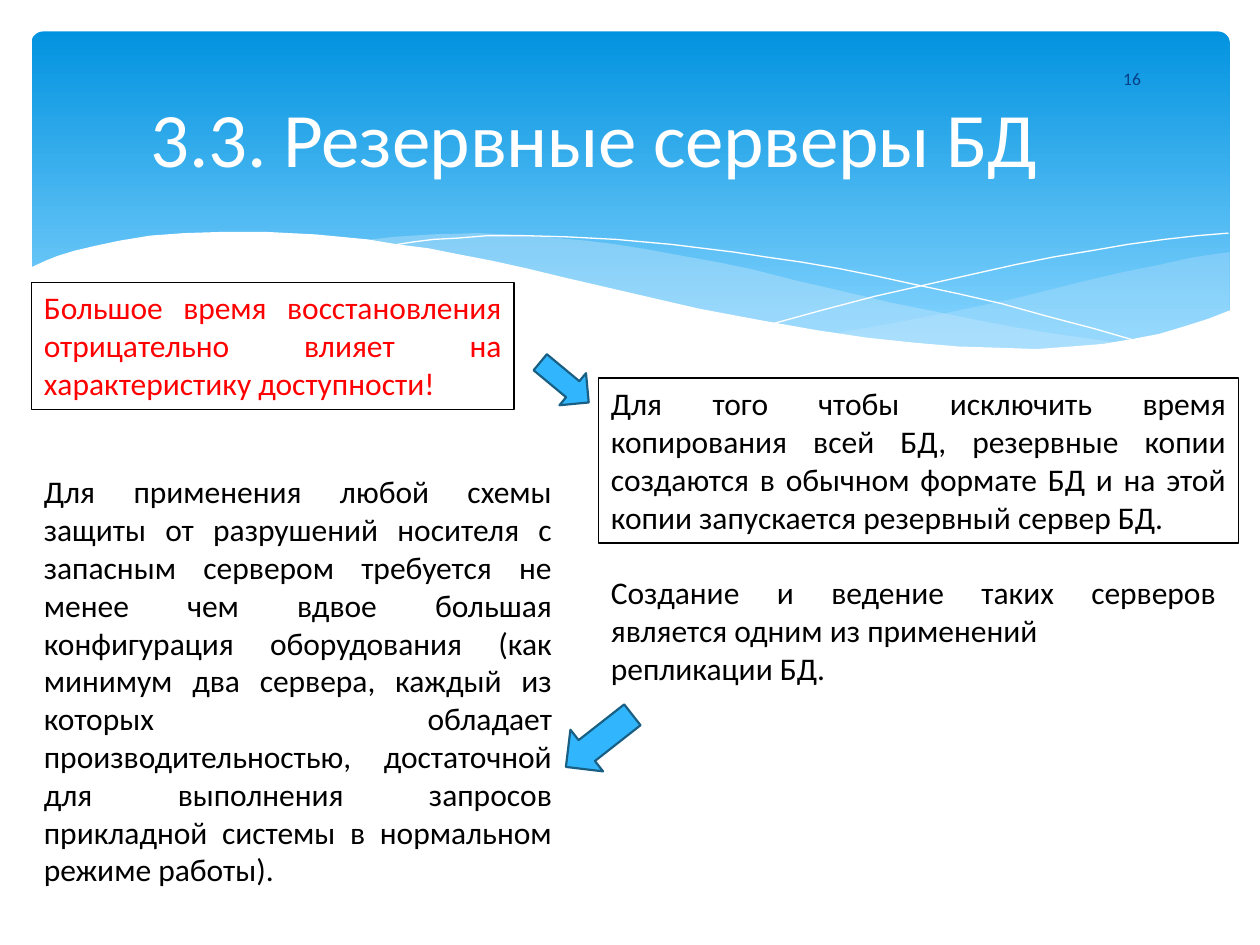
from pptx import Presentation, util as u
from pptx.dml.color import RGBColor
from pptx.enum import shapes, text
from pptx.oxml.ns import qn
from lxml import etree

BLACK, WHITE, RED = "000000", "FFFFFF", "FF0000"

title = "3.3. Резервные серверы БД"
page_number = "16"
notes = [
    ((0.25, 2.24, 3.83, 1.01), RED, True,
     ["Большое время восстановления отрицательно влияет на характеристику доступности!"]),
    ((4.75, 3, 5.08, 1.31), BLACK, True,
     ["Для того чтобы исключить время копирования всей БД, резервные копии создаются "
      "в обычном формате БД и на этой копии запускается резервный сервер БД."]),
    ((4.75, 4.5, 5, 1.01), BLACK, False,
     ["Создание и ведение таких серверов является одним из применений", "репликации БД."]),
    ((0.25, 3.7, 4.23, 3.43), BLACK, False,
     ["Для применения любой схемы защиты от разрушений носителя с запасным сервером "
      "требуется не менее чем вдвое большая конфигурация оборудования (как минимум два "
      "сервера, каждый из которых обладает производительностью, достаточной для "
      "выполнения запросов прикладной системы в нормальном режиме работы)."]),
]
arrows = [((4.23, 2.87, 0.5, 0.33), 39.6), ((4.42, 5.67, 0.67, 0.42), 141.9)]

right_wave = [
    (9.76, 2), (9.48, 2.04), (9.21, 2.1), (8.91, 2.16), (8.61, 2.23), (8.05, 2.37),
    (7.53, 2.48), (7.06, 2.57), (6.61, 2.65), (6.91, 2.69), (7.19, 2.72), (7.45, 2.75),
    (7.69, 2.77), (8.03, 2.78), (8.35, 2.77), (8.63, 2.75), (8.89, 2.72), (9.13, 2.67),
    (9.35, 2.62), (9.49, 2.57), (9.63, 2.52), (9.76, 2.47)]
middle_wave = [
    (8.93, 2.73), (8.66, 2.69), (8.37, 2.65), (8.07, 2.6), (7.75, 2.54), (7.41, 2.47),
    (7.06, 2.4), (6.68, 2.31), (6.29, 2.22), (5.98, 2.14), (5.69, 2.08), (5.41, 2.03),
    (5.14, 1.98), (4.89, 1.94), (4.65, 1.91), (4.42, 1.89), (4.2, 1.87), (3.8, 1.85),
    (3.44, 1.86), (3.13, 1.88), (2.86, 1.91), (3.23, 1.96), (3.62, 2.03), (4.04, 2.11),
    (4.49, 2.22), (4.91, 2.32), (5.3, 2.4), (5.66, 2.48), (6.01, 2.55), (6.34, 2.61),
    (6.65, 2.66), (6.95, 2.7), (7.22, 2.74), (7.48, 2.76), (7.73, 2.77), (7.96, 2.78),
    (8.28, 2.78), (8.57, 2.77), (8.76, 2.75)]
falling_line = [
    (3.09, 1.95), (3.28, 1.92), (3.44, 1.9), (3.63, 1.89), (3.87, 1.87), (4.16, 1.87),
    (4.5, 1.88), (4.89, 1.9), (5.33, 1.94), (5.82, 2), (6.08, 2.04), (6.36, 2.08),
    (6.65, 2.13), (6.95, 2.19), (7.27, 2.26), (7.6, 2.33), (7.95, 2.41), (8.31, 2.51),
    (8.69, 2.61), (9.07, 2.72)]
rising_line = [
    (6.13, 2.57), (6.53, 2.46), (6.95, 2.35), (7.48, 2.23), (8.06, 2.1), (8.36, 2.04),
    (8.66, 1.99), (8.95, 1.94), (9.24, 1.9), (9.51, 1.87), (9.75, 1.85)]
white_wave = [
    (9.77, 2.46), (9.59, 2.53), (9.4, 2.59), (9.2, 2.65), (8.99, 2.69), (8.75, 2.73),
    (8.5, 2.75), (8.23, 2.77), (7.93, 2.76), (7.61, 2.75), (7.26, 2.72), (6.88, 2.68),
    (6.48, 2.62), (6.03, 2.54), (5.55, 2.45), (5.03, 2.33), (4.47, 2.2), (4.18, 2.13),
    (3.91, 2.07), (3.65, 2.02), (3.4, 1.97), (3.16, 1.94), (2.92, 1.9), (2.71, 1.88),
    (2.5, 1.86), (2.3, 1.85), (2.11, 1.84), (1.77, 1.84), (1.46, 1.85), (1.19, 1.87),
    (0.95, 1.91), (0.76, 1.95), (0.59, 1.99), (0.46, 2.03), (0.36, 2.07), (0.23, 2.13),
    (0.23, 3.29), (9.77, 3.29)]
waves = [
    (right_wave, dict(fill="C6E7FC", alpha=29)),
    (middle_wave, dict(fill="C6E7FC", alpha=40)),
    (falling_line, dict(line=WHITE)),
    (rising_line, dict(line=WHITE)),
    (white_wave, dict(fill=WHITE)),
]

prs = Presentation()
prs.slide_width, prs.slide_height = u.Inches(10), u.Inches(7.5)
slide = prs.slides.add_slide(prs.slide_layouts[6])


def rgb(value):
    return RGBColor.from_string(value)


def inches(values):
    return [u.Inches(v) for v in values]


def paint(shape, fill=None, alpha=None, line=None, width=0):
    shape.shadow.inherit = False
    if fill:
        shape.fill.solid()
        shape.fill.fore_color.rgb = rgb(fill)
    else:
        shape.fill.background()
    if alpha:
        color = shape.fill._xPr.find(qn("a:solidFill"))[0]
        etree.SubElement(color, qn("a:alpha")).set("val", str(alpha * 1000))
    if line:
        shape.line.color.rgb = rgb(line)
        shape.line.width = u.Pt(width)
    else:
        shape.line.fill.background()


def add_text(box, paragraphs, size=18, color=BLACK, align="JUSTIFY", anchor="TOP",
             insets=(0.1, 0.05, 0.1, 0.05), border=None, before=0, leading=None, spacing=0):
    shape = slide.shapes.add_textbox(*inches(box))
    if border:
        shape.line.color.rgb = rgb(border)
        shape.line.width = u.Pt(0.75)
    frame = shape.text_frame
    frame.word_wrap = True
    frame.auto_size = text.MSO_AUTO_SIZE.SHAPE_TO_FIT_TEXT
    frame.vertical_anchor = text.MSO_ANCHOR[anchor]
    (frame.margin_left, frame.margin_top,
     frame.margin_right, frame.margin_bottom) = inches(insets)
    frame.text = "\n".join(paragraphs)
    for paragraph in frame.paragraphs:
        paragraph.alignment = text.PP_ALIGN[align]
        paragraph.space_before = u.Pt(before)
        if leading:
            paragraph.line_spacing = u.Pt(leading)
        for run in paragraph.runs:
            run.font.name, run.font.size = "Calibri", u.Pt(size)
            run.font.color.rgb = rgb(color)
            if spacing:
                run.font._element.set("spc", str(round(spacing * 100)))


banner = slide.shapes.add_shape(shapes.MSO_SHAPE.ROUNDED_RECTANGLE,
                                *inches((0.25, 0.25, 9.51, 2.7)))
paint(banner)
banner.adjustments[0] = 0.034
banner.fill.gradient()
banner.fill.gradient_angle = 270
for stop, (position, color) in zip(banner.fill.gradient_stops,
                                   [(0, "0293E0"), (0.9, "83D3FE")]):
    stop.position, stop.color.rgb = position, rgb(color)

for points, look in waves:
    start, *rest = [inches(point) for point in points]
    outline = slide.shapes.build_freeform(*start)
    outline.add_line_segments(rest, close="fill" in look)
    paint(outline.convert_to_shape(), **look)

add_text((8.33, 0.42, 1.27, 0.4), [page_number], size=10, color="073E87", align="CENTER",
         anchor="MIDDLE", insets=(0.04, 0, 0, 0), leading=12.4)
add_text((0.25, 0.7, 8.92, 0.76), [title], size=44, color=WHITE, align="CENTER",
         anchor="MIDDLE", insets=(0.01, 0.01, 0, 0), before=1.1, spacing=-0.2)

for box, color, framed, paragraphs in notes:
    add_text(box, paragraphs, color=color, border=BLACK if framed else None)

for box, angle in arrows:
    arrow = slide.shapes.add_shape(shapes.MSO_SHAPE.RIGHT_ARROW, *inches(box))
    arrow.rotation = angle
    paint(arrow, fill="31B6FD", line="195F84", width=1.25)

prs.save("out.pptx")
